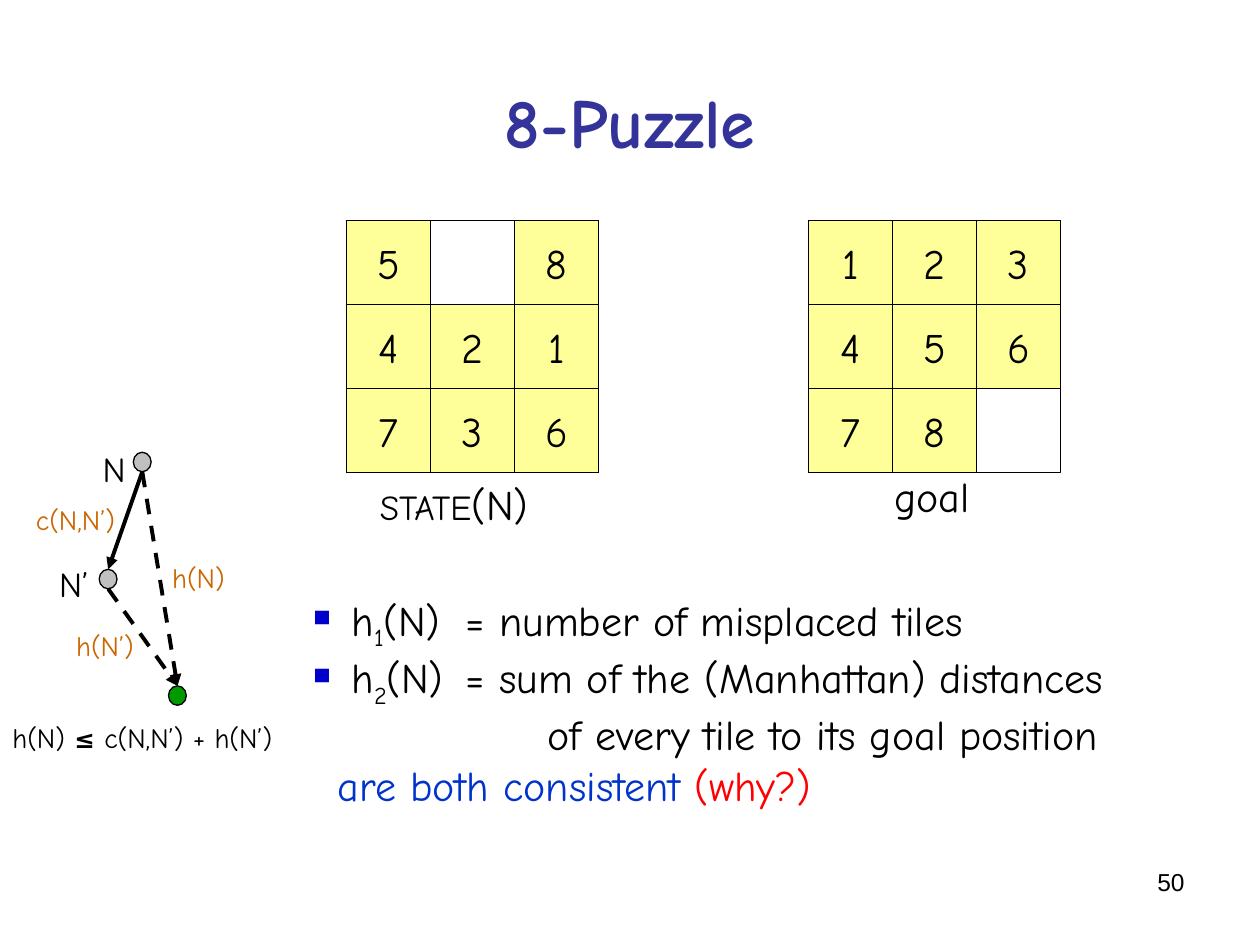
from lxml.etree import SubElement
from pptx import Presentation
from pptx.dml.color import RGBColor
from pptx.enum.dml import MSO_LINE
from pptx.enum.shapes import MSO_CONNECTOR, MSO_SHAPE
from pptx.enum.text import MSO_ANCHOR, PP_ALIGN
from pptx.oxml.ns import qn
from pptx.util import Inches, Pt

COLORS = {
    "ink": "000000", "title": "333399", "tile": "FFFF99", "node": "C0C0C0",
    "goal": "009900", "cost": "CC6600", "bullet": "0000CC", "claim": "0033CC",
    "question": "FF0000",
}
COLS, ROWS = 120, 90
TILE = 8
NODE_W, NODE_H = 1.7, 1.85


class Deck:
    """Style and current slide; lengths are columns and rows of a 120 x 90 grid."""

    def __init__(self, prs, font):
        self.prs, self.font = prs, font
        self.slide = prs.slides.add_slide(prs.slide_layouts[5])

    def x(self, cols):
        return round(self.prs.slide_width * cols / COLS)

    def y(self, rows):
        return round(self.prs.slide_height * rows / ROWS)

    def box(self, left, top, width, height):
        return self.x(left), self.y(top), self.x(width), self.y(height)

    def style(self, target, size, color="ink", bold=False, font=None):
        f = target.font
        f.name, f.size, f.bold = font or self.font, Pt(size), bold
        f.color.rgb = RGBColor.from_string(COLORS[color])

    def title(self, text, *at):
        sp = self.slide.shapes.title
        sp.left, sp.top, sp.width, sp.height = self.box(*at)
        sp.text_frame.text = text
        sp.text_frame.vertical_anchor = MSO_ANCHOR.MIDDLE
        p = sp.text_frame.paragraphs[0]
        p.alignment = PP_ALIGN.CENTER
        self.style(p, 40, "title", bold=True)

    def text(self, runs, *at, size=24, color="ink", align=PP_ALIGN.LEFT, font=None):
        """Add one line; runs is a string or a list of (text, size, bold)."""
        tf = self.slide.shapes.add_textbox(*self.box(*at)).text_frame
        tf.word_wrap = False
        p = tf.paragraphs[0]
        p.alignment = align
        if isinstance(runs, str):
            p.text = runs
            self.style(p, size, color, font=font)
            return
        for words, run_size, bold in runs:
            r = p.add_run()
            r.text = words
            self.style(r, run_size, color, bold, font)

    def shape(self, kind, *at, fill=None):
        sp = self.slide.shapes.add_shape(kind, *self.box(*at))
        sp.shadow.inherit = False
        if fill:
            sp.fill.solid()
            sp.fill.fore_color.rgb = RGBColor.from_string(COLORS[fill])
        else:
            sp.fill.background()
        sp.line.color.rgb = RGBColor.from_string(COLORS["ink"])
        sp.line.width = Pt(0.75)
        return sp

    def puzzle(self, left, top, rows):
        """Draw a framed 3 x 3 board; a space in rows is the empty square."""
        self.shape(MSO_SHAPE.RECTANGLE, left, top, 3 * TILE, 3 * TILE)
        for i, row in enumerate(rows):
            for j, digit in enumerate(row):
                if digit == " ":
                    continue
                sp = self.shape(MSO_SHAPE.RECTANGLE, left + j * TILE,
                                top + i * TILE, TILE, TILE, fill="tile")
                tf = sp.text_frame
                tf.text = digit
                tf.vertical_anchor = MSO_ANCHOR.MIDDLE
                tf.paragraphs[0].alignment = PP_ALIGN.CENTER
                self.style(tf.paragraphs[0], 24)

    def node(self, center, fill):
        cx, cy = center
        self.shape(MSO_SHAPE.OVAL, cx - NODE_W / 2, cy - NODE_H / 2,
                   NODE_W, NODE_H, fill=fill)

    def arrow(self, start, end, dashed):
        """Join the bottom of one node to the top of another."""
        line = self.slide.shapes.add_connector(
            MSO_CONNECTOR.STRAIGHT,
            self.x(start[0]), self.y(start[1] + NODE_H / 2),
            self.x(end[0]), self.y(end[1] - NODE_H / 2))
        line.line.color.rgb = RGBColor.from_string(COLORS["ink"])
        line.line.width = Pt(2.25)
        if dashed:
            line.line.dash_style = MSO_LINE.DASH
        SubElement(line.line._get_or_add_ln(), qn("a:tailEnd"), type="triangle")
        SubElement(line._element.spPr, qn("a:effectLst"))

    def body(self, paragraphs, *at):
        """Add paragraphs of (indent, bulleted, [(text, color, is_subscript)])."""
        tf = self.slide.shapes.add_textbox(*self.box(*at)).text_frame
        tf.word_wrap = True
        for i, (indent, bulleted, runs) in enumerate(paragraphs):
            p = tf.paragraphs[0] if i == 0 else tf.add_paragraph()
            pPr = p._p.get_or_add_pPr()
            pPr.set("marL", str(self.x(indent)))
            if bulleted:
                pPr.set("indent", str(-self.x(4.3)))
                color = SubElement(pPr, qn("a:buClr"))
                SubElement(color, qn("a:srgbClr"), val=COLORS["bullet"])
                SubElement(pPr, qn("a:buChar"), char="▪")
                tabs = SubElement(pPr, qn("a:tabLst"))
                SubElement(tabs, qn("a:tab"), pos=str(self.x(18.2)), algn="l")
            for words, color, subscript in runs:
                r = p.add_run()
                r.text = words
                self.style(r, 24, color)
                if subscript:
                    r.font._element.set("baseline", "-25000")


def heuristic(index, meaning):
    return (7.3, True, [("h", "ink", False), (index, "ink", True),
                        (f"(N)\t= {meaning}", "ink", False)])


def main():
    prs = Presentation()
    prs.slide_width, prs.slide_height = Inches(10), Inches(7.5)
    deck = Deck(prs, "Comic Neue")

    deck.title("8-Puzzle", 6, 4, 108, 15)
    deck.text("50", 86, 82, 28, 6.2, size=14, align=PP_ALIGN.RIGHT, font="Arial")

    deck.puzzle(77, 21, ["123", "456", "78 "])
    deck.puzzle(33, 21, ["5 8", "421", "736"])
    deck.text([("STATE", 20, False), ("(N)", 24, False)], 35, 45, 20, 6)
    deck.text("goal", 84, 44.2, 9.8, 6)

    deck.body([
        heuristic("1", "number of misplaced tiles"),
        heuristic("2", "sum of the (Manhattan) distances"),
        (26, False, [("of every tile to its goal position", "ink", False)]),
        (6, False, [("are both consistent ", "claim", False),
                    ("(why?)", "question", False)]),
    ], 25, 56, 95, 20.4)

    parent, child, goal = (13.55, 44), (10.3, 55.15), (16.9, 66.25)
    for center, fill in ((parent, "node"), (child, "node"), (goal, "goal")):
        deck.node(center, fill)
    for start, end, dashed in ((parent, child, False), (child, goal, True),
                               (parent, goal, True)):
        deck.arrow(start, end, dashed)
    deck.text("N", 8.6, 42, 5, 5.2, size=20)
    deck.text("N’", 4.45, 53, 5.6, 5.2, size=20)
    for label, left, top, width in (("h(N)", 14.9, 52.8, 8),
                                    ("h(N’)", 5.75, 59.3, 8.5),
                                    ("c(N,N’)", 1.55, 47.3, 11.3)):
        deck.text(label, left, top, width, 4.4, size=16, color="cost",
                  align=PP_ALIGN.CENTER)
    deck.text([("h(N) ", 16, False), ("≤", 14, True), (" c(N,N’) + h(N’)", 16, False)],
              0, 68, 28.7, 4.4)
    prs.save("out.pptx")


if __name__ == "__main__":
    main()
